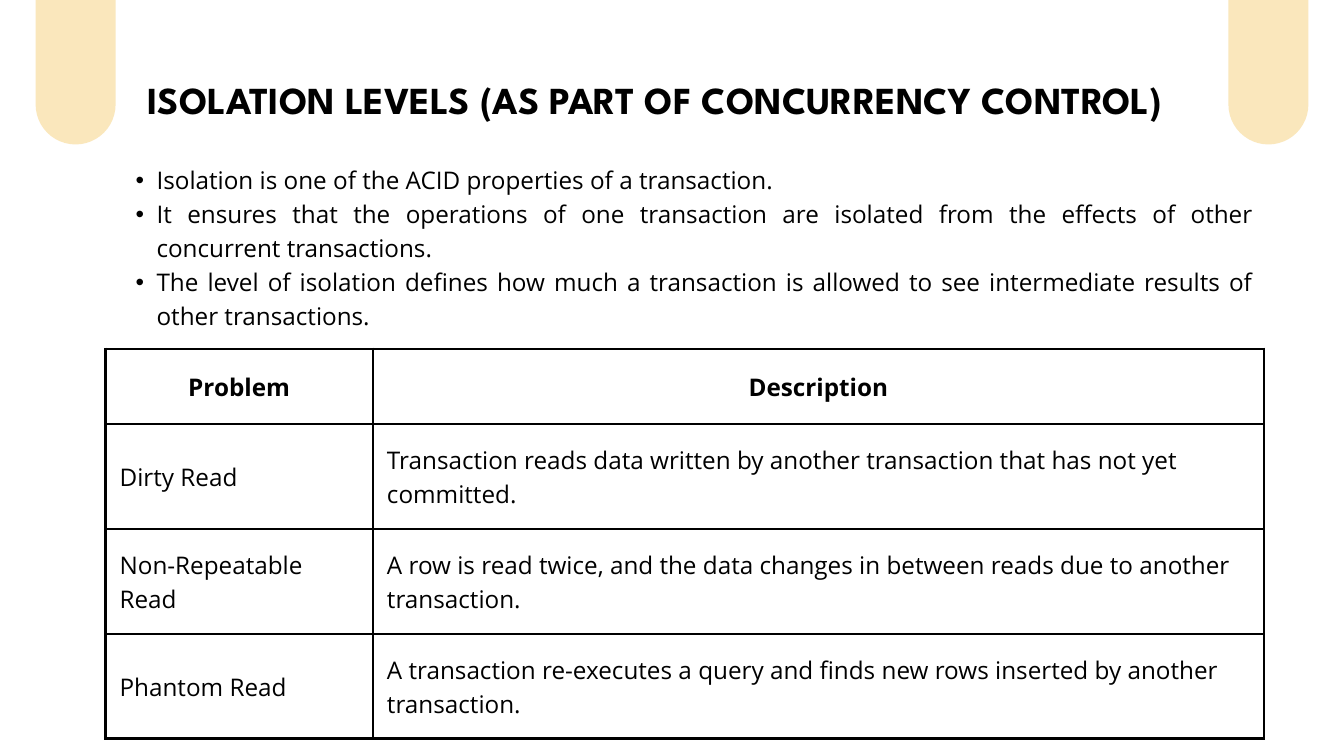
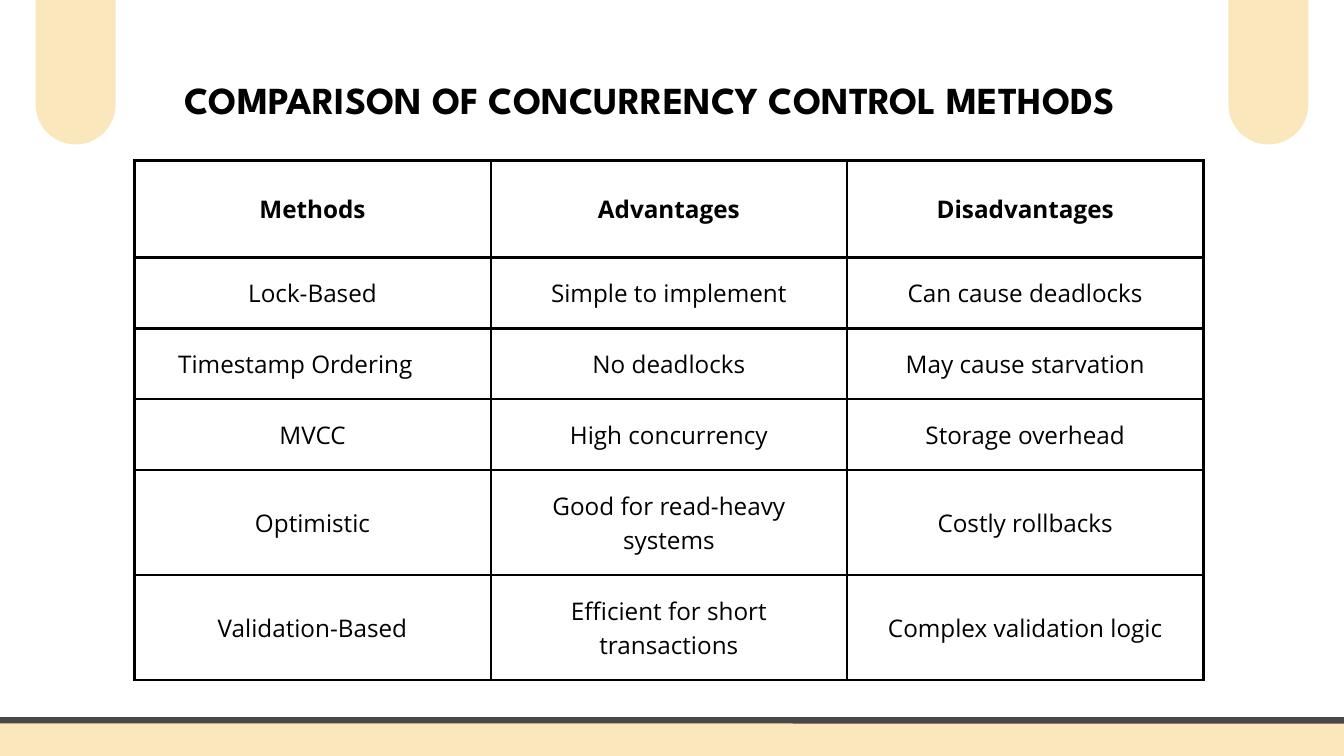
from dataclasses import dataclass

from lxml import etree
from pptx import Presentation, util as u
from pptx.dml.color import RGBColor
from pptx.enum import shapes, text
from pptx.oxml import ns


@dataclass(frozen=True)
class Theme:
    ink: str = "000000"
    paper: str = "FFFFFF"
    cream: str = "FAE7BC"
    slate: str = "494848"
    title_font: str = "League Spartan"
    body_font: str = "Open Sans"
    title_size: float = 40.9
    body_size: float = 26
    title_leading: float = 57.2
    body_leading: float = 36.4
    border: float = 3
    band_line: float = 6.75


THEME = Theme()
WIDTH, HEIGHT = 20, 11.25
LEFT_EDGE = 1.72
TAB_LEFTS = (0.53, 18.28)
TAB_BOX = (-1.08, 1.19, 3.23)
BAND_BOX = (-0.58, 10.72, 21.16, 0.9)
TITLE_TOP, TITLE_HEIGHT = 1.03, 0.77
BULLET_BOX = (LEFT_EDGE, 2.39, 16.94, 2.49)
BULLET_MARGIN, BULLET_HANG = 0.61, 0.31
CELL_INSET = 0.21
ROW_PADDING = 0.55
ALIGN = text.PP_ALIGN

TITLE_STYLE = {"name": THEME.title_font, "size": u.Pt(THEME.title_size), "bold": True}
BODY_STYLE = {"name": THEME.body_font, "size": u.Pt(THEME.body_size), "bold": False}
HEADER_STYLE = {**BODY_STYLE, "bold": True}

SLIDES = [
    {
        "title": "ISOLATION LEVELS (AS PART OF CONCURRENCY CONTROL)",
        "title_width": 16.06,
        "bullets": [
            "Isolation is one of the ACID properties of a transaction.",
            "It ensures that the operations of one transaction are isolated from the effects "
            "of other concurrent transactions.",
            "The level of isolation defines how much a transaction is allowed to see "
            "intermediate results of other transactions.",
        ],
        "table": {
            "rows": [
                ("Problem", "Description"),
                ("Dirty Read", "Transaction reads data written by another transaction "
                               "that has not yet committed."),
                ("Non-Repeatable Read", "A row is read twice, and the data changes in "
                                        "between reads due to another transaction."),
                ("Phantom Read", "A transaction re-executes a query and finds new rows "
                                 "inserted by another transaction."),
            ],
            "left": 1.57, "top": 5.19, "width": 17.24,
            "column_shares": (3, 10),
            "header_height": 1.12,
            "row_lines": (2, 2, 2),
            "align": ALIGN.LEFT,
        },
    },
    {
        "title": "COMPARISON OF CONCURRENCY CONTROL METHODS",
        "title_width": 15.9,
        "band": True,
        "table": {
            "rows": [
                ("Methods", "Advantages", "Disadvantages"),
                ("Lock-Based", "Simple to implement", "Can cause deadlocks"),
                ("Timestamp Ordering", "No deadlocks", "May cause starvation"),
                ("MVCC", "High concurrency", "Storage overhead"),
                ("Optimistic", "Good for read-heavy systems", "Costly rollbacks"),
                ("Validation-Based", "Efficient for short transactions",
                 "Complex validation logic"),
            ],
            "left": 2, "top": 2.39, "width": 15.91,
            "column_shares": (1, 1, 1),
            "header_height": 1.44,
            "row_lines": (1, 1, 1, 2, 2),
            "align": ALIGN.CENTER,
            "extra_right": {"Timestamp Ordering": 0.51},
        },
    },
]


def inches(*lengths):
    return [u.Inches(length) for length in lengths]


def color(value):
    return RGBColor.from_string(value)


def apply(target, values):
    for name, value in values.items():
        setattr(target, name, value)


def write(paragraph, words, style, align, leading=THEME.body_leading):
    apply(paragraph, {"alignment": align, "line_spacing": u.Pt(leading),
                      "space_before": u.Pt(0), "space_after": u.Pt(0)})
    run = paragraph.add_run()
    run.text = words
    apply(run.font, style)
    run.font.color.rgb = color(THEME.ink)


def prepare_frame(frame):
    apply(frame, {"margin_left": 0, "margin_top": 0, "margin_right": 0, "margin_bottom": 0,
                  "word_wrap": True, "auto_size": text.MSO_AUTO_SIZE.NONE,
                  "vertical_anchor": text.MSO_ANCHOR.TOP})


def add_pill(slide, box, roundness, outline=None):
    shape = slide.shapes.add_shape(shapes.MSO_SHAPE.ROUNDED_RECTANGLE, *inches(*box))
    shape.adjustments[0] = roundness
    shape.shadow.inherit = False
    shape.fill.solid()
    shape.fill.fore_color.rgb = color(THEME.cream)
    if outline:
        shape.line.color.rgb = color(outline)
        shape.line.width = u.Pt(THEME.band_line)
    else:
        shape.line.fill.background()


def add_title(slide, words, width):
    title = slide.shapes.title
    box = inches(LEFT_EDGE, TITLE_TOP, width, TITLE_HEIGHT)
    apply(title, dict(zip(("left", "top", "width", "height"), box)))
    prepare_frame(title.text_frame)
    write(title.text_frame.paragraphs[0], words, TITLE_STYLE, ALIGN.CENTER,
          THEME.title_leading)


def add_bullets(slide, lines):
    frame = slide.shapes.add_textbox(*inches(*BULLET_BOX)).text_frame
    prepare_frame(frame)
    for index, line in enumerate(lines):
        paragraph = frame.add_paragraph() if index else frame.paragraphs[0]
        write(paragraph, line, BODY_STYLE, ALIGN.JUSTIFY)
        properties = paragraph._p.get_or_add_pPr()
        properties.set("marL", str(u.Inches(BULLET_MARGIN)))
        properties.set("indent", str(-u.Inches(BULLET_HANG)))
        etree.SubElement(properties, ns.qn("a:buFont"), typeface="Arial")
        etree.SubElement(properties, ns.qn("a:buChar"), char="•")


def add_borders(cell):
    properties = cell._tc.get_or_add_tcPr()
    for side in ("lnL", "lnR", "lnT", "lnB"):
        line = etree.SubElement(properties, ns.qn(f"a:{side}"), w=str(u.Pt(THEME.border)))
        fill = etree.SubElement(line, ns.qn("a:solidFill"))
        etree.SubElement(fill, ns.qn("a:srgbClr"), val=THEME.ink)


def add_grid(slide, content):
    rows, shares = content["rows"], content["column_shares"]
    line_height = THEME.body_leading / 72
    heights = [content["header_height"]]
    heights += [ROW_PADDING + count * line_height for count in content["row_lines"]]
    box = inches(content["left"], content["top"], content["width"], sum(heights))
    table = slide.shapes.add_table(len(rows), len(shares), *box).table
    apply(table, {"first_row": False, "horz_banding": False})
    for column, share in zip(table.columns, shares):
        column.width = u.Inches(content["width"] * share / sum(shares))
    for row_index, (height, values) in enumerate(zip(heights, rows)):
        table.rows[row_index].height = u.Inches(height)
        style = BODY_STYLE if row_index else HEADER_STYLE
        align = content["align"] if row_index else ALIGN.CENTER
        for column_index, words in enumerate(values):
            cell = table.cell(row_index, column_index)
            extra = content.get("extra_right", {}).get(words, 0)
            inset = u.Inches(CELL_INSET)
            apply(cell, {"margin_left": inset, "margin_top": inset, "margin_bottom": inset,
                         "margin_right": u.Inches(CELL_INSET + extra),
                         "vertical_anchor": text.MSO_ANCHOR.MIDDLE})
            add_borders(cell)
            cell.fill.background()
            write(cell.text_frame.paragraphs[0], words, style, align)


def build_slide(presentation, content):
    slide = presentation.slides.add_slide(presentation.slide_layouts[5])
    slide.background.fill.solid()
    slide.background.fill.fore_color.rgb = color(THEME.paper)
    top, width, height = TAB_BOX
    for left in TAB_LEFTS:
        add_pill(slide, (left, top, width, height), 0.5)
    if content.get("band"):
        add_pill(slide, BAND_BOX, 0.1, THEME.slate)
    add_title(slide, content["title"], content["title_width"])
    add_grid(slide, content["table"])
    if "bullets" in content:
        add_bullets(slide, content["bullets"])


def main():
    presentation = Presentation()
    presentation.slide_width, presentation.slide_height = inches(WIDTH, HEIGHT)
    for content in SLIDES:
        build_slide(presentation, content)
    presentation.save("out.pptx")


if __name__ == "__main__":
    main()
